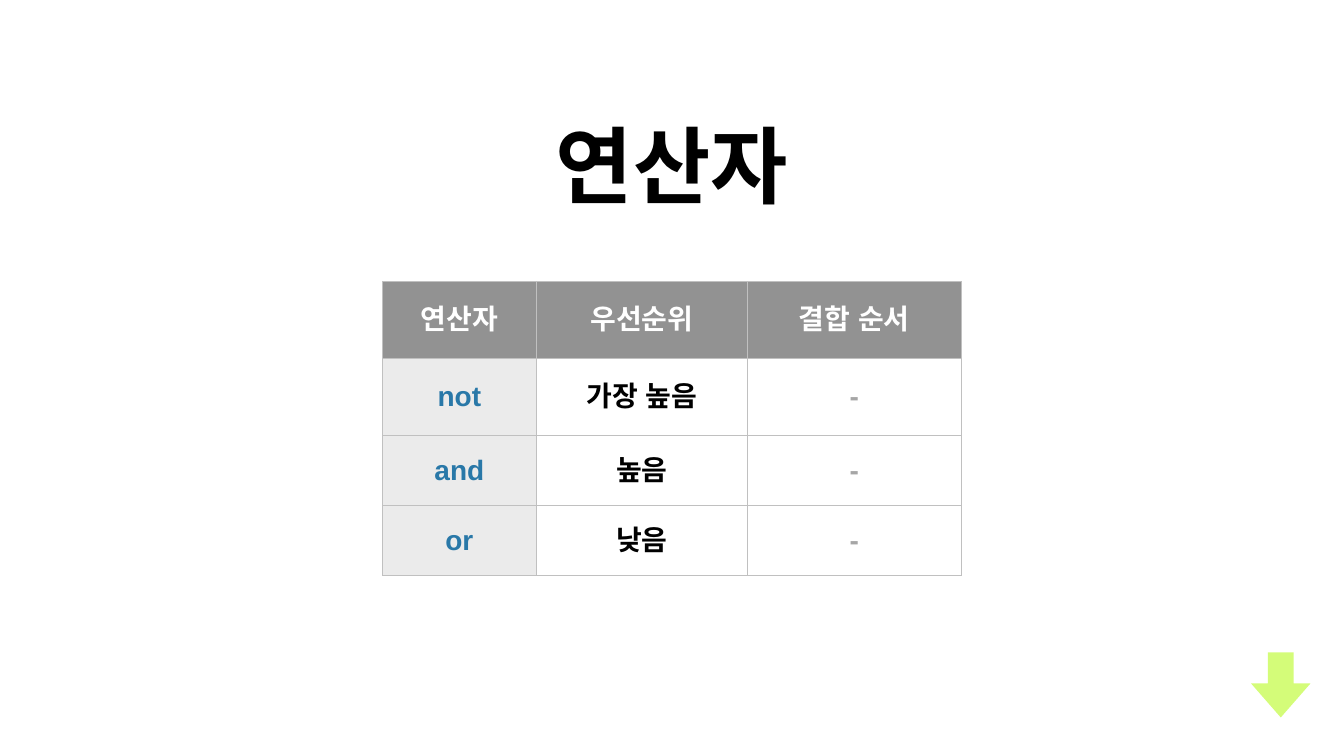
from dataclasses import dataclass

from lxml import etree
from pptx import Presentation
from pptx.dml.color import RGBColor
from pptx.enum.shapes import MSO_SHAPE
from pptx.enum.text import MSO_ANCHOR, PP_ALIGN
from pptx.oxml.ns import qn
from pptx.util import Inches, Pt

RIGHT_ARROW = MSO_SHAPE.RIGHT_ARROW
BOTTOM, MIDDLE = MSO_ANCHOR.BOTTOM, MSO_ANCHOR.MIDDLE
CENTER = PP_ALIGN.CENTER


@dataclass(frozen=True)
class Theme:
    font: str = "Arial"
    title_size: int = 120
    cell_size: int = 40
    inset: float = 0.06
    black: str = "000000"
    white: str = "FFFFFF"
    header: str = "929292"
    label: str = "EBEBEB"
    keyword: str = "2978A8"
    border: str = "C0C0C0"
    arrow: str = "D4FC79"
    faint_opacity: int = 34


THEME = Theme()
ROWS = [
    ("연산자", "우선순위", "결합 순서"),
    ("not", "가장 높음", "-"),
    ("and", "높음", "-"),
    ("or", "낮음", "-"),
]
COLUMN_WIDTHS = (3.05, 4.19, 4.24)
ROW_HEIGHTS = (1.53, 1.53, 1.39, 1.39)


def paint(fill, color):
    fill.solid()
    fill.fore_color.rgb = RGBColor.from_string(color)


def write(para, text, size, color, opacity=100):
    para.alignment = CENTER
    span = para.add_run()
    span.text = text
    formats = {"name": THEME.font, "size": Pt(size), "bold": True}
    for name, value in formats.items():
        setattr(span.font, name, value)
    paint(span.font.fill, color)
    properties = span.font._element
    etree.SubElement(properties, qn("a:ea"), typeface=THEME.font)
    if opacity < 100:
        value = properties.find(".//" + qn("a:srgbClr"))
        etree.SubElement(value, qn("a:alpha"), val=str(opacity * 1000))


def set_margins(holder):
    for side in ("left", "top", "right", "bottom"):
        setattr(holder, f"margin_{side}", Inches(THEME.inset))


def outline_cell(cell):
    """Draw a thin line on all four sides, ahead of the cell's fill."""
    properties = cell._tc.get_or_add_tcPr()
    for index, side in enumerate(("lnL", "lnR", "lnT", "lnB")):
        line = etree.Element(qn(f"a:{side}"), w=str(Pt(1)))
        fill = etree.SubElement(line, qn("a:solidFill"))
        etree.SubElement(fill, qn("a:srgbClr"), val=THEME.border)
        properties.insert(index, line)


def add_title(page, box, text):
    title = page.shapes.add_textbox(*map(Inches, box))
    paint(title.fill, THEME.white)
    frame = title.text_frame
    frame.word_wrap = True
    frame.vertical_anchor = BOTTOM
    set_margins(frame)
    write(frame.paragraphs[0], text, THEME.title_size, THEME.black)


def cell_style(row, column):
    """Return the fill, text colour and text opacity for a cell."""
    if row == 0:
        return THEME.header, THEME.white, 100
    return (
        (THEME.label, THEME.keyword, 100),
        (THEME.white, THEME.black, 100),
        (THEME.white, THEME.black, THEME.faint_opacity),
    )[column]


def add_operator_table(page, left, top):
    box = (left, top, sum(COLUMN_WIDTHS), sum(ROW_HEIGHTS))
    table = page.shapes.add_table(
        len(ROWS), len(COLUMN_WIDTHS), *map(Inches, box)).table
    for column, width in zip(table.columns, COLUMN_WIDTHS):
        column.width = Inches(width)
    for row, height in zip(table.rows, ROW_HEIGHTS):
        row.height = Inches(height)
    for r, texts in enumerate(ROWS):
        for c, text in enumerate(texts):
            cell = table.cell(r, c)
            fill, color, opacity = cell_style(r, c)
            paint(cell.fill, fill)
            outline_cell(cell)
            cell.vertical_anchor = MIDDLE
            set_margins(cell)
            write(cell.text_frame.paragraphs[0], text,
                  THEME.cell_size, color, opacity)


def add_down_arrow(page, box):
    arrow = page.shapes.add_shape(RIGHT_ARROW, *map(Inches, box))
    arrow.rotation = 90
    arrow.shadow.inherit = False
    arrow.adjustments[0] = 0.435
    arrow.adjustments[1] = 0.572
    paint(arrow.fill, THEME.arrow)
    arrow.line.fill.background()


def main():
    deck = Presentation()
    deck.slide_width, deck.slide_height = Inches(26.67), Inches(15)
    page = deck.slides.add_slide(deck.slide_layouts[6])
    paint(page.background.fill, THEME.white)
    add_title(page, (6.82, 1.88, 13.02, 2.44), "연산자")
    add_operator_table(page, 7.59, 5.58)
    add_down_arrow(page, (24.77, 13, 1.29, 1.18))
    deck.save("out.pptx")


if __name__ == "__main__":
    main()
